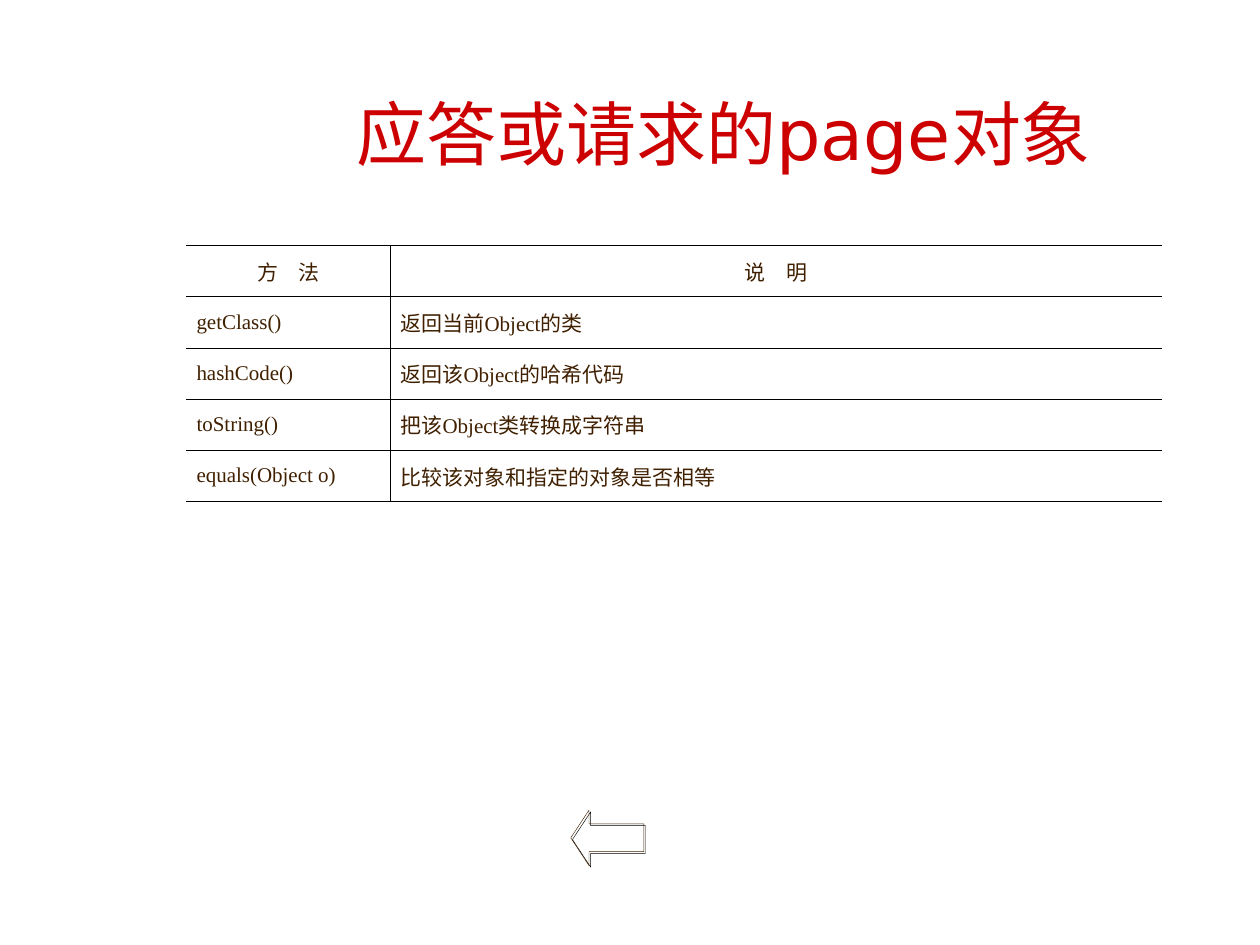
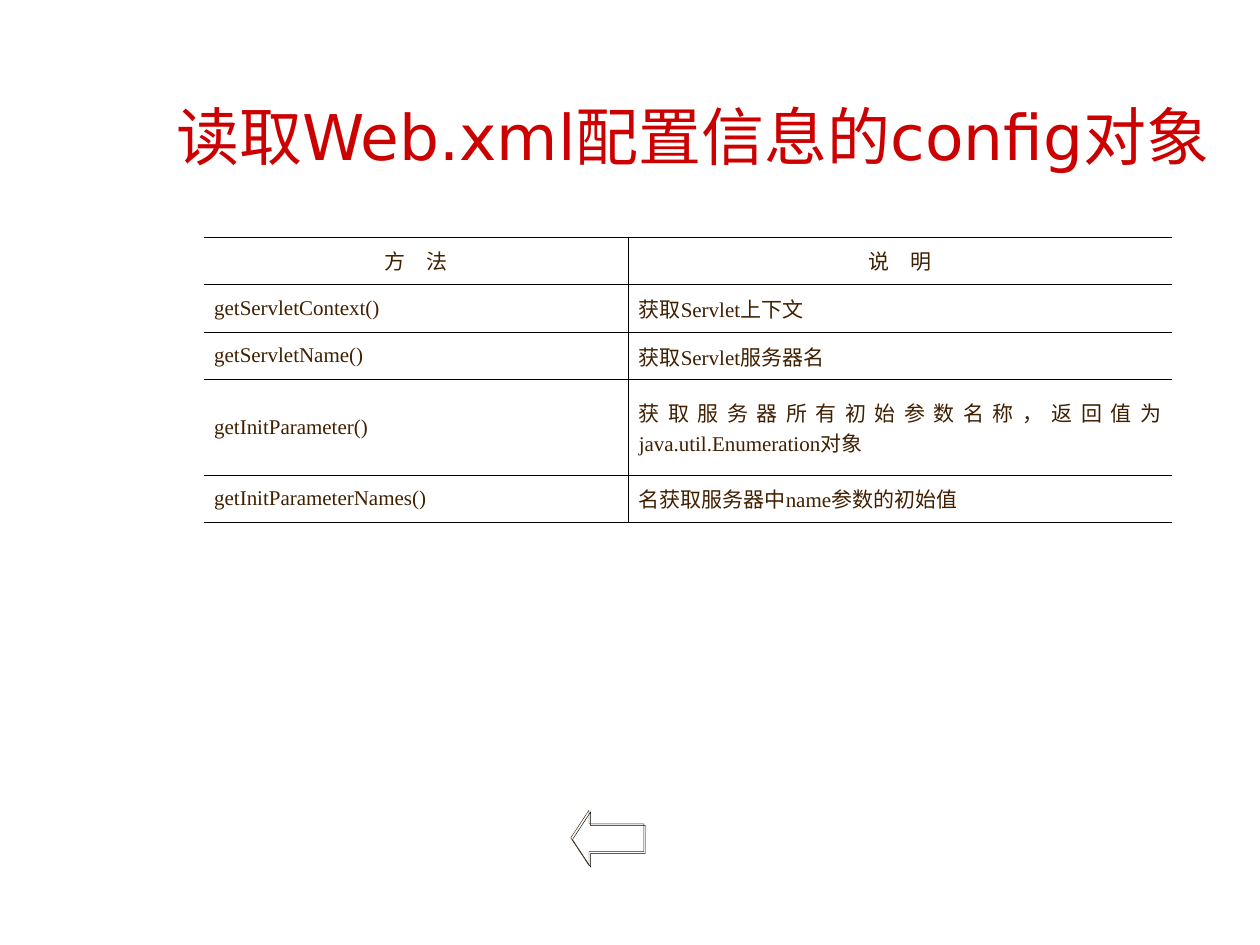
from dataclasses import dataclass

from lxml import etree
from pptx import Presentation, util as u
from pptx.dml.color import RGBColor
from pptx.enum import shapes, text
from pptx.oxml.ns import qn


@dataclass(frozen=True)
class Theme:
    """Colours, fonts, type sizes and the slide grid."""
    title: str = "CC0000"
    ink: str = "402000"
    rule: str = "000000"
    title_font: str = "DejaVu Sans"
    body_font: str = "Times New Roman"
    body_size: float = 12
    rule_width: float = 0.45
    cell: float = u.Inches(1)
    columns: float = 10
    rows: float = 7.5


T = Theme()
HEADER = ("方　法", "说　明")
PAGE_METHODS = [
    HEADER,
    ("getClass()", "返回当前Object的类"),
    ("hashCode()", "返回该Object的哈希代码"),
    ("toString()", "把该Object类转换成字符串"),
    ("equals(Object o)", "比较该对象和指定的对象是否相等"),
]
CONFIG_METHODS = [
    HEADER,
    ("getServletContext()", "获取Servlet上下文"),
    ("getServletName()", "获取Servlet服务器名"),
    ("getInitParameter()", "获取服务器所有初始参数名称，返回值为java.util.Enumeration对象"),
    ("getInitParameterNames()", "名获取服务器中name参数的初始值"),
]


def grid(*lengths):
    """Turn grid columns or rows into slide lengths."""
    return [round(n * T.cell) for n in lengths]


def style(p, font, size, color, align):
    """Format a paragraph and its runs."""
    p.alignment = align
    for r in p.runs:
        r.font.name, r.font.size = font, u.Pt(size)
        r.font.color.rgb = RGBColor.from_string(color)
        r.font._element.set("lang", "zh-CN")


def add_title(s, box, words, size, align):
    """Add the red slide title."""
    tf = s.shapes.add_textbox(*grid(*box)).text_frame
    tf.word_wrap = True
    tf.vertical_anchor = text.MSO_ANCHOR.MIDDLE
    tf.text = words
    p = tf.paragraphs[0]
    style(p, T.title_font, size, T.title, align)
    for r in p.runs:
        etree.SubElement(r.font._element, qn("a:ea"), typeface=T.title_font)


def add_back_arrow(s):
    """Add the outlined back arrow with its hard shadow."""
    sp = s.shapes.add_shape(shapes.MSO_SHAPE.LEFT_ARROW, *grid(4.53, 6.43, 0.58, 0.44))
    sp.adjustments[1] = 0.33
    sp.fill.background()
    sp.line.color.rgb = RGBColor.from_string(T.ink)
    sp.line.width = u.Pt(0.25)
    sp.shadow.inherit = False
    effects = sp._element.spPr.find(qn("a:effectLst"))
    shadow = etree.SubElement(effects, qn("a:outerShdw"), blurRad="0",
                              dist=str(u.Pt(1.4)), dir=str(45 * 60000))
    etree.SubElement(shadow, qn("a:srgbClr"), val=T.rule)


def set_borders(cell, sides):
    """Rule the given sides of a cell and clear the others."""
    tcPr = cell._tc.get_or_add_tcPr()
    for side in "LRTB":
        ln = etree.SubElement(tcPr, qn(f"a:ln{side}"), w=str(u.Pt(T.rule_width)))
        if side in sides:
            fill = etree.SubElement(ln, qn("a:solidFill"))
            etree.SubElement(fill, qn("a:srgbClr"), val=T.rule)
        else:
            etree.SubElement(ln, qn("a:noFill"))


def fill_cell(cell, words, align, sides):
    """Write and format one table cell."""
    cell.text = words
    cell.vertical_anchor = text.MSO_ANCHOR.MIDDLE
    cell.margin_left = cell.margin_right = u.Inches(0.08)
    cell.margin_top = cell.margin_bottom = u.Inches(0.05)
    p = cell.text_frame.paragraphs[0]
    p.space_before = p.space_after = u.Pt(1.2)
    style(p, T.body_font, T.body_size, T.ink, align)
    set_borders(cell, sides)
    cell.fill.background()


def add_method_table(s, box, methods, first_column, row_shares):
    """Add a two-column method table, ruled but open at both sides."""
    left, top, width, height = grid(*box)
    table = s.shapes.add_table(len(methods), 2, left, top, width, height).table
    table.first_row = table.horz_banding = False
    table.columns[0].width, = grid(first_column)
    table.columns[1].width = width - table.columns[0].width
    for i, (method, share) in enumerate(zip(methods, row_shares)):
        table.rows[i].height = round(height * share / sum(row_shares))
        align = text.PP_ALIGN.JUSTIFY if i else text.PP_ALIGN.CENTER
        for j, sides in enumerate(("RTB", "LTB")):
            fill_cell(table.cell(i, j), method[j], align, sides)


def add_slide(prs):
    """Add a blank slide with the shared back arrow."""
    s = prs.slides.add_slide(prs.slide_layouts[6])
    add_back_arrow(s)
    return s


def main():
    """Build both slides and save them."""
    prs = Presentation()
    prs.slide_width, prs.slide_height = grid(T.columns, T.rows)

    s = add_slide(prs)
    add_title(s, (2.11, 0.72, 7.27, 0.67), "应答或请求的page对象", 40, text.PP_ALIGN.CENTER)
    add_method_table(s, (1.48, 1.95, 7.74, 2.03), PAGE_METHODS, 1.62, (1, 1, 1, 1, 1))

    s = add_slide(prs)
    add_title(s, (1.3, 0.74, 8.62, 0.67), "读取Web.xml配置信息的config对象", 36, text.PP_ALIGN.LEFT)
    add_method_table(s, (1.62, 1.88, 7.68, 2.27), CONFIG_METHODS, 3.37, (1, 1, 1, 2, 1))

    prs.save("out.pptx")


if __name__ == "__main__":
    main()
